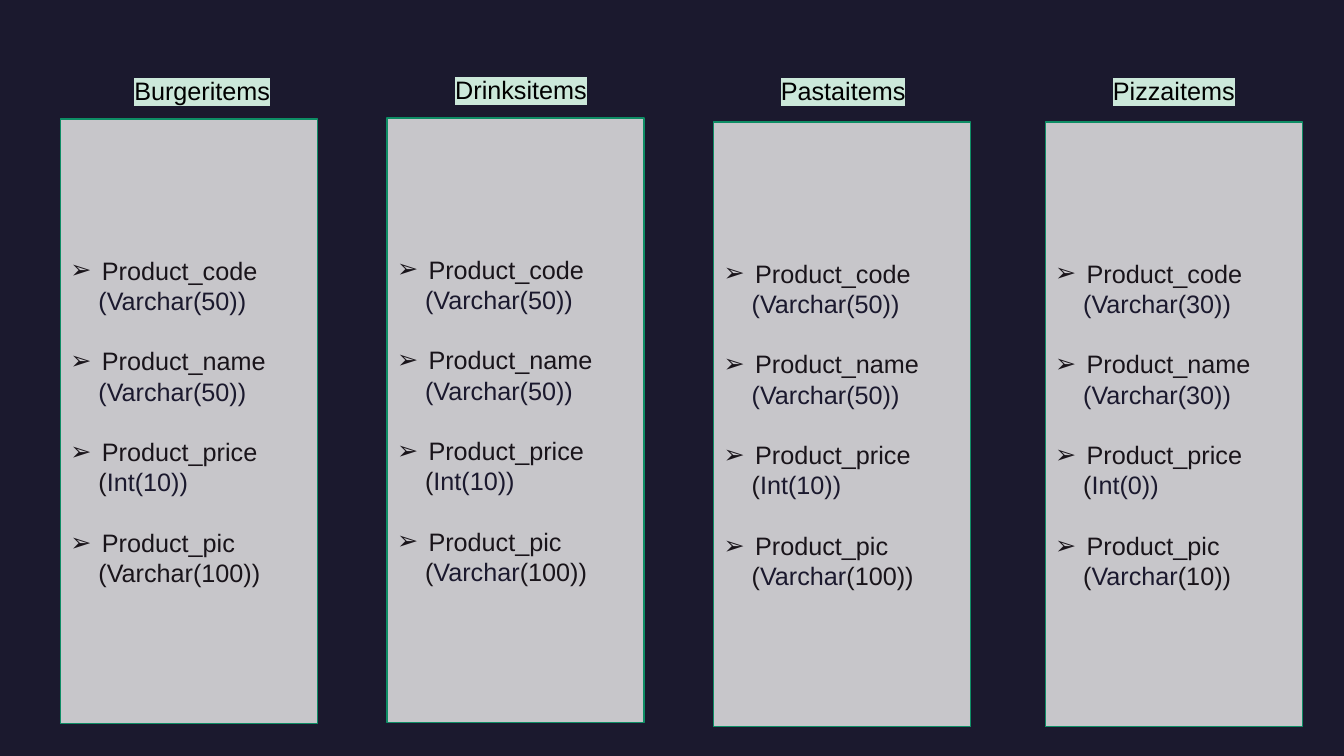
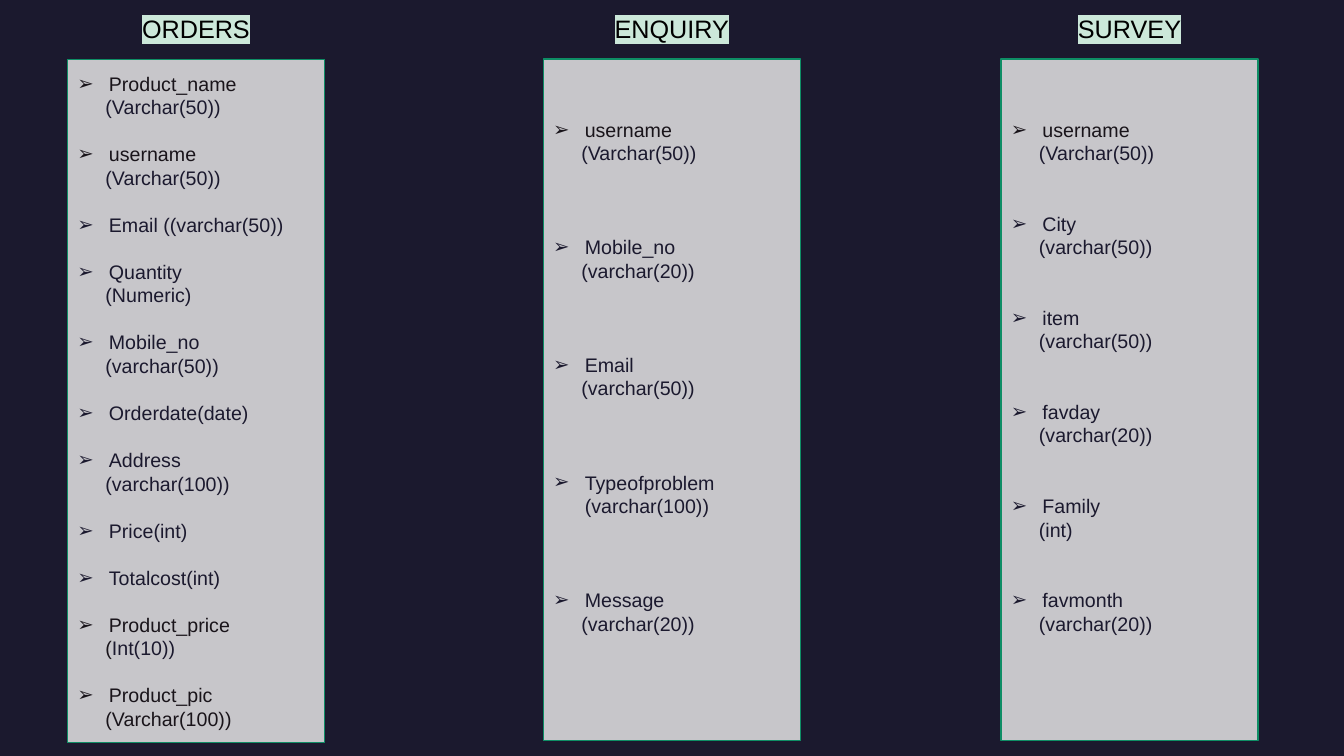
from dataclasses import dataclass

from lxml import etree
from pptx import Presentation
from pptx import util as u
from pptx.dml import color
from pptx.enum import shapes, text
from pptx.oxml import ns

NAVY, INK, BLACK = "1B192E", "19141A", "000000"
PANEL, GREEN, MINT = "F2F2F2", "0E8D65", "CCE8DA"
FONT = "Arial"
LEADING = 1.2
PANEL_WIDTH = 183.6
LABEL_HEIGHT, LABEL_SIZE = 28.8, 18
NAME_INDENT, KIND_INDENT = 22.5, 20


@dataclass
class Field:
    """A column name and its type; each "|" switches between ink and navy."""
    name: str
    kind: str = ""


@dataclass
class Label:
    left: float
    top: float
    width: float


@dataclass
class Schema:
    """A database table; gap and tail are blank space counted in lines."""
    title: str
    label: Label
    left: float
    top: float
    height: float
    size: int
    fields: list[Field]
    gap: int = 1
    tail: int = 0


def rgb(value: str) -> color.RGBColor:
    return color.RGBColor.from_string(value)


def add_element(parent, tag: str, **attributes: str):
    return etree.SubElement(parent, ns.qn(tag), attributes)


def format_span(span, size: float, ink: str) -> None:
    span.font.size = u.Pt(size)
    span.font.name = FONT
    span.font.color.rgb = rgb(ink)


def write_line(para, words: str, size: float, bullet: bool) -> None:
    properties = para._p.get_or_add_pPr()
    indent = NAME_INDENT if bullet else KIND_INDENT
    properties.set("marL", str(u.Pt(indent)))
    properties.set("indent", str(-u.Pt(indent) if bullet else 0))
    if bullet:
        add_element(properties, "a:buFont", typeface=FONT)
        add_element(properties, "a:buChar", char="➢")
    para.alignment = text.PP_ALIGN.LEFT
    para.line_spacing = u.Pt(size * LEADING)
    for index, piece in enumerate(words.split("|")):
        if piece:
            span = para.add_run()
            span.text = piece
            format_span(span, size, NAVY if index % 2 else INK)


def add_label(page, schema: Schema) -> None:
    label = schema.label
    box = page.shapes.add_textbox(u.Pt(label.left), u.Pt(label.top),
                                  u.Pt(label.width), u.Pt(LABEL_HEIGHT))
    frame = box.text_frame
    frame.word_wrap = True
    frame.auto_size = text.MSO_AUTO_SIZE.SHAPE_TO_FIT_TEXT
    frame.text = schema.title
    para = frame.paragraphs[0]
    para.alignment = text.PP_ALIGN.CENTER
    para.line_spacing = u.Pt(LABEL_SIZE * LEADING)
    span = para.runs[0]
    format_span(span, LABEL_SIZE, BLACK)
    highlight = etree.Element(ns.qn("a:highlight"))
    add_element(highlight, "a:srgbClr", val=MINT)
    span._r.rPr.find(ns.qn("a:solidFill")).addnext(highlight)


def add_panel(page, schema: Schema) -> None:
    panel = page.shapes.add_shape(
        shapes.MSO_SHAPE.RECTANGLE, u.Pt(schema.left), u.Pt(schema.top),
        u.Pt(PANEL_WIDTH), u.Pt(schema.height))
    panel.shadow.inherit = False
    panel.fill.solid()
    panel.fill.fore_color.rgb = rgb(PANEL)
    fill = panel._element.spPr.find(ns.qn("a:solidFill"))
    add_element(fill[0], "a:alpha", val="80000")
    panel.line.color.rgb = rgb(GREEN)
    panel.line.width = u.Pt(1)

    frame = panel.text_frame
    frame.word_wrap = True
    frame.vertical_anchor = text.MSO_ANCHOR.MIDDLE
    line_height = schema.size * LEADING
    frame.margin_bottom = u.Pt(3.6 + schema.tail * line_height)
    for index, field in enumerate(schema.fields):
        para = frame.add_paragraph() if index else frame.paragraphs[0]
        write_line(para, field.name, schema.size, bullet=True)
        if index:
            para.space_before = u.Pt(schema.gap * line_height)
        if field.kind:
            write_line(frame.add_paragraph(), field.kind, schema.size, bullet=False)


def product_schema(title: str, label: Label, left: float, top: float,
                   code: int, price: int, picture: str) -> Schema:
    fields = [
        Field("Product_code", f"|(Varchar({code}))"),
        Field("Product_name", f"|(Varchar({code}))"),
        Field("Product_price", f"(|Int({price}))"),
        Field("Product_pic", picture),
    ]
    return Schema(title, label, left, top, 432, 18, fields)


def form_schema(title: str, left: float, height: float, fields: list[Field],
                gap: int = 1, tail: int = 0) -> Schema:
    label = Label(left + 25.2, 5.8, 133.2)
    return Schema(title, label, left, 42.3, height, 14, fields, gap, tail)


PRODUCTS = [
    product_schema("Burgeritems", Label(77.8, 50.4, 133.2), 43.2, 85,
                   50, 10, "(Varchar(100))"),
    product_schema("Drinksitems", Label(307.4, 49.7, 129.6), 276.5, 84.2,
                   50, 10, "(|Varchar|(100))"),
    product_schema("Pastaitems", Label(544.3, 50.4, 115.9), 509.8, 87.1,
                   50, 10, "(|Varchar|(100))"),
    product_schema("Pizzaitems", Label(780.5, 50.4, 115.9), 746.6, 87.1,
                   30, 0, "(|Varchar|(10))"),
]

FORMS = [
    form_schema("ORDERS", 48.2, 488.2, [
        Field("Product_name", "|(Varchar(50))"),
        Field("username", "|(Varchar(50))"),
        Field("|Email ((varchar(50))"),
        Field("|Quantity", "|(Numeric)"),
        Field("|Mobile_no", "|(varchar(50))"),
        Field("|Orderdate(date)"),
        Field("|Address", "|(varchar(100))"),
        Field("|Price(int)"),
        Field("|Totalcost(int)"),
        Field("Product_price", "(|Int(10))"),
        Field("Product_pic", "(Varchar(100))"),
    ]),
    form_schema("ENQUIRY", 388.1, 486.7, [
        Field("username", "|(Varchar(50))"),
        Field("|Mobile_no", "|(varchar(20))"),
        Field("|Email", "|(varchar(50))"),
        Field("|Typeofproblem (varchar(100))"),
        Field("|Message", "|(varchar(20))"),
    ], gap=3, tail=2),
    form_schema("SURVEY", 715, 486.7, [
        Field("username", "|(Varchar(50))"),
        Field("|City", "|(varchar(50))"),
        Field("|item", "|(varchar(50))"),
        Field("|favday", "|(varchar(20))"),
        Field("|Family", "|(int)"),
        Field("|favmonth", "|(varchar(20))"),
    ], gap=2, tail=2),
]


def add_page(deck, schemas: list[Schema]) -> None:
    page = deck.slides.add_slide(deck.slide_layouts[6])
    page.background.fill.solid()
    page.background.fill.fore_color.rgb = rgb(NAVY)
    for schema in schemas:
        add_label(page, schema)
        add_panel(page, schema)


def main() -> None:
    deck = Presentation()
    deck.slide_width, deck.slide_height = u.Pt(960), u.Pt(540)
    for schemas in (PRODUCTS, FORMS):
        add_page(deck, schemas)
    deck.save("out.pptx")


if __name__ == "__main__":
    main()
